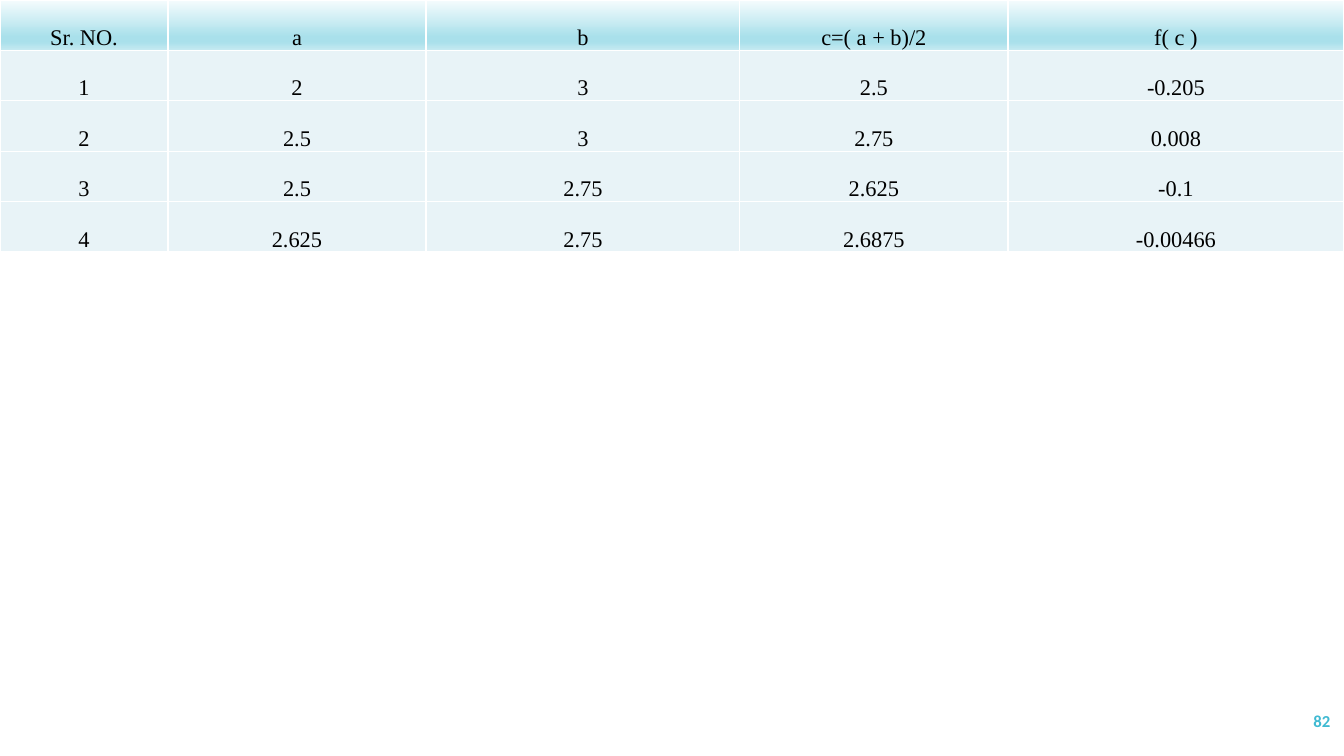
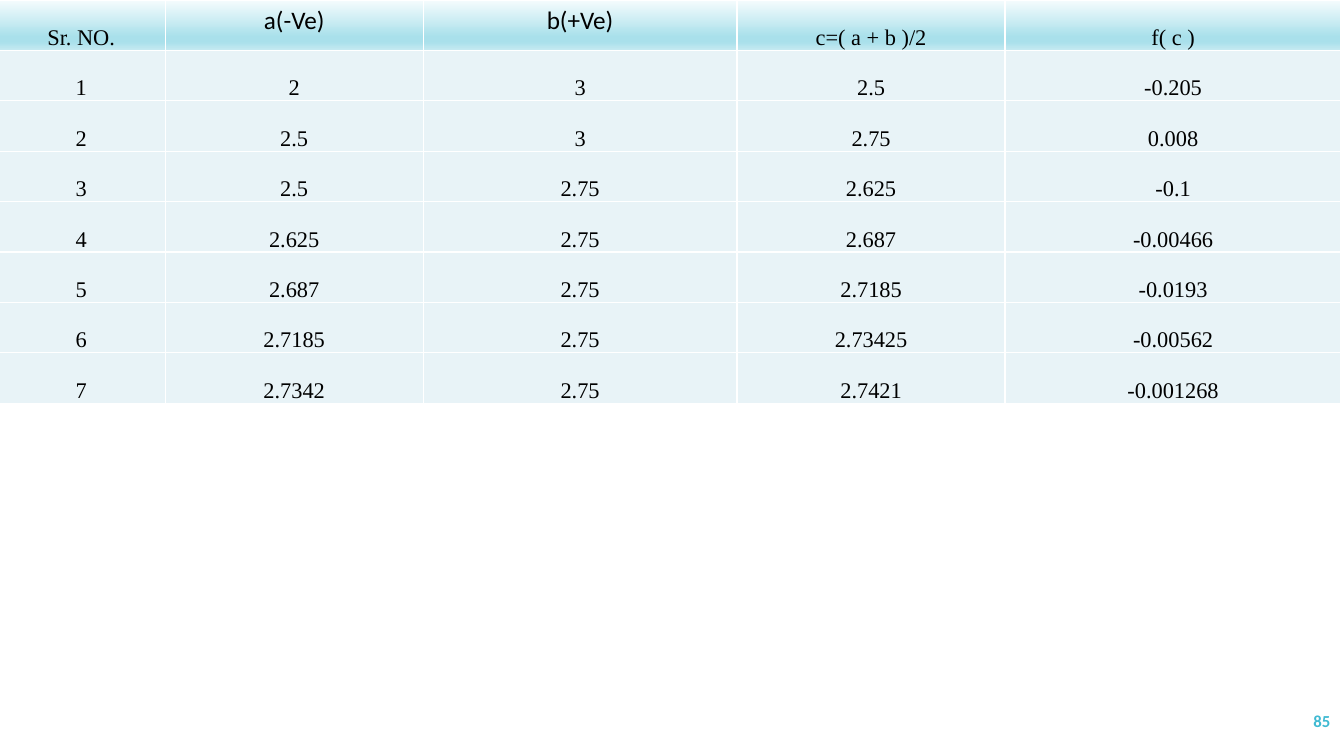
from pptx import Presentation
from pptx.dml.color import RGBColor
from pptx.enum.text import MSO_ANCHOR, PP_ALIGN
from pptx.oxml import parse_xml
from pptx.oxml.ns import nsdecls
from pptx.util import Pt

CENTER, RIGHT = PP_ALIGN.CENTER, PP_ALIGN.RIGHT
TOP, MIDDLE, BOTTOM = MSO_ANCHOR.TOP, MSO_ANCHOR.MIDDLE, MSO_ANCHOR.BOTTOM

BLACK = RGBColor(0x00, 0x00, 0x00)
WHITE = RGBColor(0xFF, 0xFF, 0xFF)
TEAL = RGBColor(0x40, 0xBA, 0xD2)
PALE_BLUE = RGBColor(0xE8, 0xF3, 0xF7)
HEADER_STOPS = (
    (0, RGBColor(0xF5, 0xFC, 0xFD)),
    (74, RGBColor(0xA9, 0xE0, 0xEB)),
    (83, RGBColor(0xA9, 0xE0, 0xEB)),
    (100, RGBColor(0xC6, 0xEA, 0xF1)),
)

SANS, SERIF = "Calibri", "Times New Roman"
SLIDE_W, SLIDE_H = 960, 540
COL_WIDTHS = (120, 184.3, 224.2, 191.5, 240)
ROW_H = 36

FIRST_STEPS = [
    ("1", "2", "3", "2.5", "-0.205"),
    ("2", "2.5", "3", "2.75", "0.008"),
    ("3", "2.5", "2.75", "2.625", "-0.1"),
]
SHORT_TABLE = [
    ("Sr. NO.", "a", "b", "c=( a + b)/2", "f( c )"),
    *FIRST_STEPS,
    ("4", "2.625", "2.75", "2.6875", "-0.00466"),
]
LONG_TABLE = [
    ("Sr. NO.", "a(-Ve)", "b(+Ve)", "c=( a + b )/2", "f( c )"),
    *FIRST_STEPS,
    ("4", "2.625", "2.75", "2.687", "-0.00466"),
    ("5", "2.687", "2.75", "2.7185", "-0.0193"),
    ("6", "2.7185", "2.75", "2.73425", "-0.00562"),
    ("7", "2.7342", "2.75", "2.7421", "-0.001268"),
]


def write(tf, text, font=SERIF, size=16, color=BLACK, bold=False, align=CENTER):
    p = tf.paragraphs[0]
    p.alignment = align
    r = p.add_run()
    r.text = text
    r.font.name = font
    r.font.size = Pt(size)
    r.font.bold = bold
    r.font.color.rgb = color


def add_borders(cell, color=WHITE, width=1):
    tc_pr = cell._tc.get_or_add_tcPr()
    for side in "LRTB":
        tc_pr.append(parse_xml(
            f'<a:ln{side} {nsdecls("a")} w="{Pt(width)}"><a:solidFill>'
            f'<a:srgbClr val="{color}"/></a:solidFill></a:ln{side}>'))


def fill_gradient(cell, stops):
    """Fill a cell from top to bottom; stops are (percent, colour) pairs."""
    gs = "".join(f'<a:gs pos="{pos * 1000}"><a:srgbClr val="{color}"/></a:gs>'
                 for pos, color in stops)
    cell._tc.get_or_add_tcPr().append(parse_xml(
        f'<a:gradFill {nsdecls("a")} rotWithShape="1"><a:gsLst>{gs}</a:gsLst>'
        '<a:lin ang="5400000" scaled="0"/></a:gradFill>'))


class Deck:
    def __init__(self):
        self.prs = Presentation()
        self.prs.slide_width = Pt(SLIDE_W)
        self.prs.slide_height = Pt(SLIDE_H)
        self.s = None

    def add_slide(self, number):
        self.s = self.prs.slides.add_slide(self.prs.slide_layouts[6])
        self.add_page_number(number)

    def add_page_number(self, number):
        sp = self.s.shapes.add_textbox(Pt(837.4), Pt(500.4), Pt(120), Pt(28.8))
        tf = sp.text_frame
        tf.word_wrap = True
        tf.vertical_anchor = MIDDLE
        write(tf, str(number), font=SANS, size=12, color=TEAL, bold=True, align=RIGHT)

    def add_table(self, rows, left=0, sans_headers=()):
        """Add the steps table; headers in sans_headers are larger, set at the top."""
        table = self.s.shapes.add_table(
            len(rows), len(COL_WIDTHS), Pt(left), 0,
            Pt(sum(COL_WIDTHS)), Pt(ROW_H * len(rows))).table
        table.horz_banding = False
        for col, width in zip(table.columns, COL_WIDTHS):
            col.width = Pt(width)
        for i, row in enumerate(rows):
            table.rows[i].height = Pt(ROW_H)
            for j, text in enumerate(row):
                self.fill_cell(table.cell(i, j), text, i == 0, text in sans_headers)

    def fill_cell(self, cell, text, header, sans):
        add_borders(cell)
        if header:
            fill_gradient(cell, HEADER_STOPS)
        else:
            cell.fill.solid()
            cell.fill.fore_color.rgb = PALE_BLUE
        if sans:
            cell.vertical_anchor = TOP
            write(cell.text_frame, text, font=SANS, size=18)
        else:
            cell.vertical_anchor = BOTTOM
            cell.margin_left = cell.margin_right = cell.margin_top = Pt(0.75)
            cell.margin_bottom = 0
            write(cell.text_frame, text)


def main():
    deck = Deck()
    deck.add_slide(82)
    deck.add_table(SHORT_TABLE)
    deck.add_slide(85)
    deck.add_table(LONG_TABLE, left=-2, sans_headers=("a(-Ve)", "b(+Ve)"))
    deck.prs.save("out.pptx")


if __name__ == "__main__":
    main()
